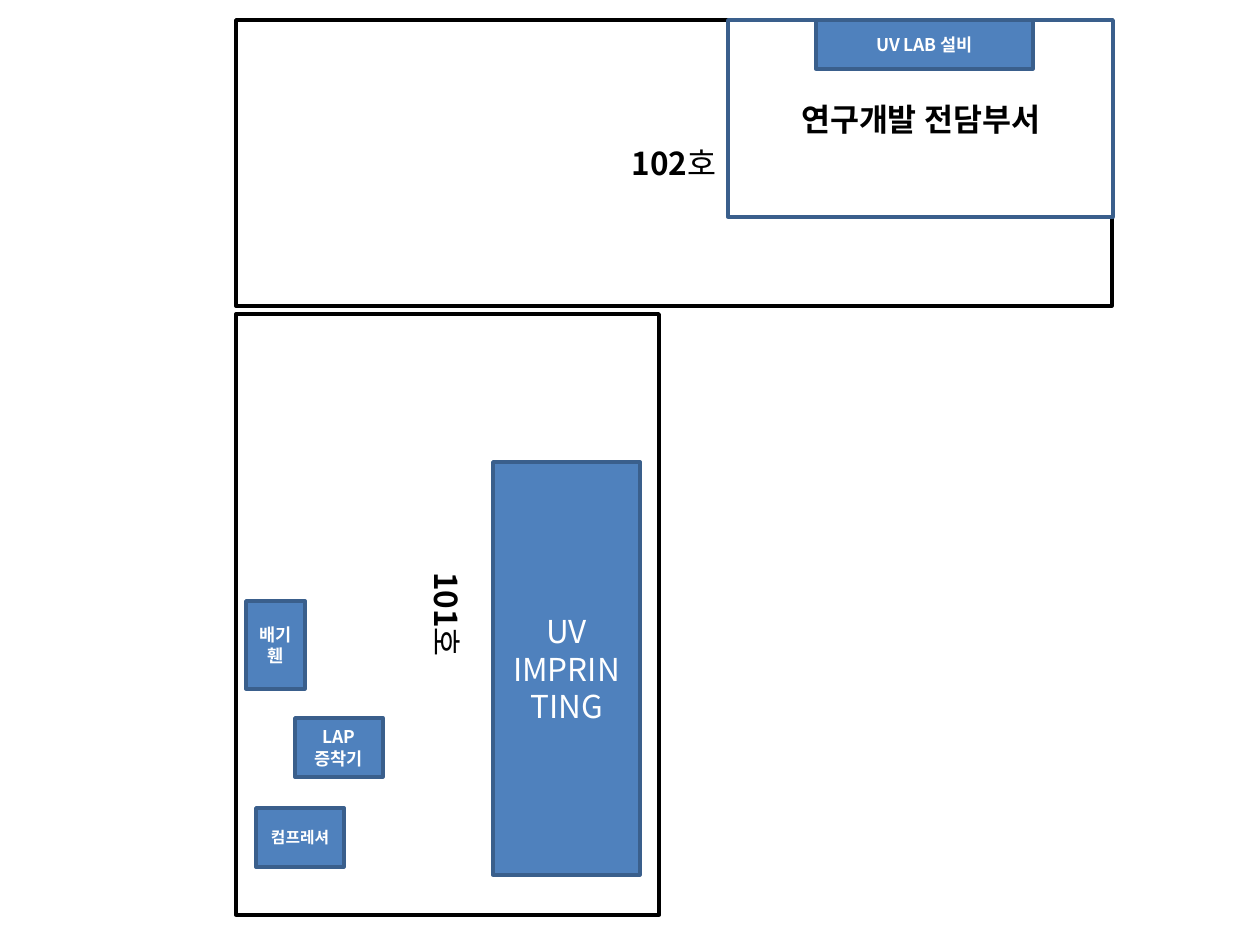
from lxml.etree import SubElement
from pptx import Presentation
from pptx.dml.color import RGBColor
from pptx.enum.shapes import MSO_SHAPE
from pptx.enum.text import MSO_ANCHOR, PP_ALIGN
from pptx.oxml.ns import qn
from pptx.util import Inches, Pt

PX = Inches(1) / 126
FONT = "Noto Sans CJK KR"
COLORS = {"wall": "000000", "paper": "FFFFFF", "machine": "4F81BD", "edge": "3A5F8C"}


def px(value):
    return round(value * PX)


def rgb(name):
    return RGBColor.from_string(COLORS[name])


def write(frame, text, size=18, color="wall", bold=True, light_tail=""):
    """Fill a frame with centred text; light_tail follows in regular weight."""
    frame.word_wrap = True
    frame.vertical_anchor = MSO_ANCHOR.MIDDLE
    for i, line in enumerate(text.split("\n")):
        paragraph = frame.paragraphs[0] if i == 0 else frame.add_paragraph()
        paragraph.alignment = PP_ALIGN.CENTER
        for part, weight in ((line, bold), (light_tail, False)):
            if not part:
                continue
            run = paragraph.add_run()
            run.text = part
            run.font.size = Pt(size)
            run.font.bold = weight
            run.font.color.rgb = rgb(color)
            run.font.name = FONT
            SubElement(run.font._element, qn("a:ea"), typeface=FONT)


class FloorPlan:
    def __init__(self, slide):
        self.slide = slide

    def box(self, bounds, fill, line, rotation=0):
        shape = self.slide.shapes.add_shape(MSO_SHAPE.RECTANGLE, *map(px, bounds))
        shape.shadow.inherit = False
        shape.rotation = rotation
        shape.fill.solid()
        shape.fill.fore_color.rgb = rgb(fill)
        shape.line.color.rgb = rgb(line)
        shape.line.width = Pt(2)
        return shape.text_frame

    def room(self, bounds, text, line="wall", rotation=0, **style):
        write(self.box(bounds, "paper", line, rotation), text, **style)

    def machine(self, bounds, text, **style):
        write(self.box(bounds, "machine", "edge"), text, color="paper", **style)


deck = Presentation()
deck.slide_width, deck.slide_height = Inches(10), Inches(7.5)
plan = FloorPlan(deck.slides.add_slide(deck.slide_layouts[6]))

# Rooms
plan.room((236, 20, 876, 286), "102", light_tail="호")
plan.room((728, 20, 385, 197), "연구개발 전담부서", line="edge")
plan.room((147, 403, 601, 423), "101", light_tail="호", rotation=90)

# Equipment: small units share one footprint, the fan stands upright
LONG, SHORT = 88, 59
plan.machine((493, 462, 147, 413), "UV IMPRINTING", bold=False)
plan.machine((256, 808, LONG, SHORT), "컴프레셔", size=9)
plan.machine((295, 718, LONG, SHORT), "LAP\n증착기", size=10)
plan.machine((246, 601, SHORT, LONG), "배기휀", size=10)
plan.machine((816, 20, 217, 49), "UV LAB 설비", size=10)

deck.save("out.pptx")
